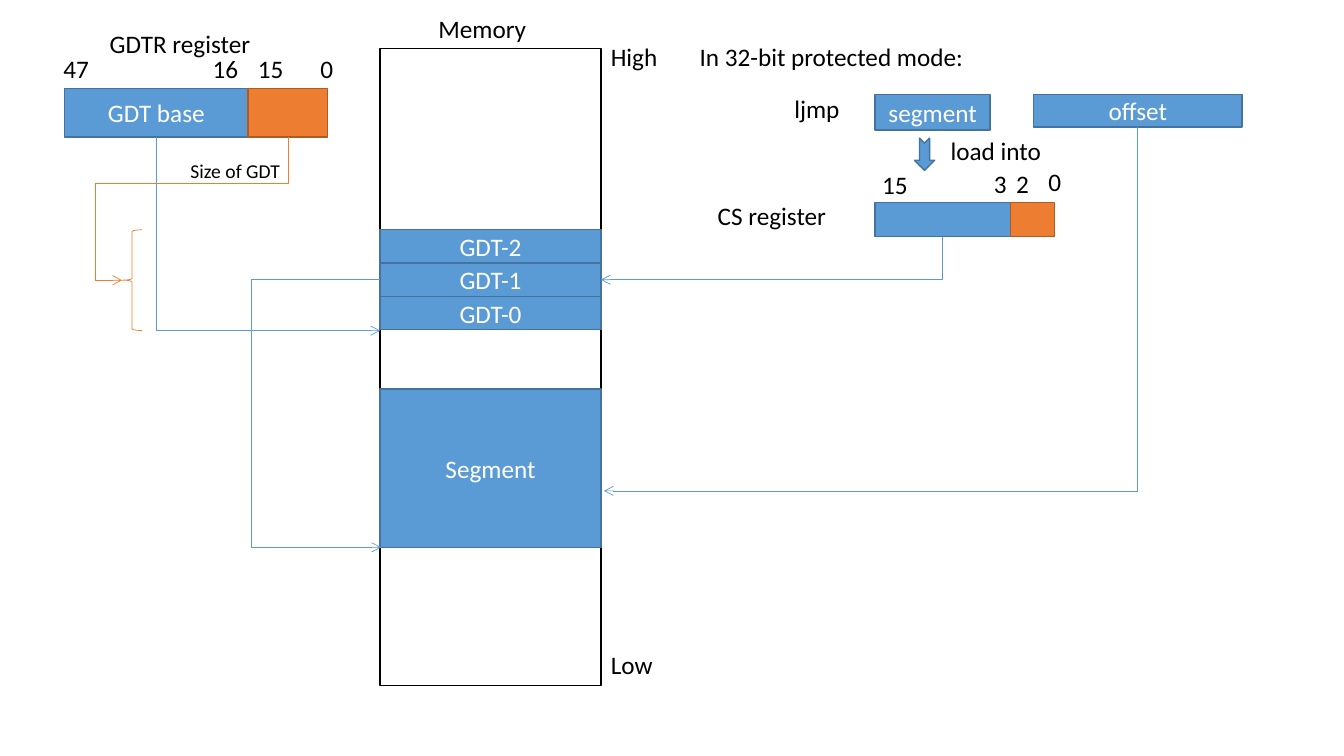
from collections import namedtuple
from lxml.etree import SubElement
from pptx import Presentation
from pptx.dml.color import RGBColor
from pptx.enum.shapes import MSO_CONNECTOR, MSO_SHAPE as SHAPE
from pptx.enum.text import MSO_ANCHOR, MSO_AUTO_SIZE, PP_ALIGN
from pptx.oxml.ns import qn
from pptx.util import Inches, Pt

Theme = namedtuple("Theme", "font size small blue blue_edge orange orange_edge white black edge wire")
THEME = Theme("Calibri", 18, 14, "5B9BD5", "43739E", "ED7D31", "AF5C24", "FFFFFF", "000000", 1, 0.5)
BLUE = (THEME.blue, THEME.blue_edge)
ORANGE = (THEME.orange, THEME.orange_edge)
PLAIN = (THEME.white, THEME.black)


class Box(namedtuple("Box", "left top width height")):
    @property
    def right(self):
        return self.left + self.width

    @property
    def bottom(self):
        return self.top + self.height

    @property
    def middle(self):
        return self.top + self.height / 2

    @property
    def foot(self):
        return self.left + self.width / 2, self.bottom


MEMORY = Box(3.77, 0.48, 2.19, 6.32)
GDT_BASE = Box(0.64, 0.88, 1.82, 0.48)
GDT_SIZE = Box(GDT_BASE.right, GDT_BASE.top, 0.79, GDT_BASE.height)
SELECTOR = Box(8.68, 0.94, 1.14, 0.35)
OFFSET = Box(10.25, 0.94, 2.07, 0.32)
CS_INDEX = Box(8.68, 2.01, 1.34, 0.34)
CS_FLAGS = Box(CS_INDEX.right, CS_INDEX.top, 0.44, CS_INDEX.height)
SEGMENT = Box(MEMORY.left, 3.86, MEMORY.width, 1.57)
GDT_NAMES = ["GDT-2", "GDT-1", "GDT-0"]
GDT = [Box(MEMORY.left, 2.28 + 0.33 * row, MEMORY.width, 0.33) for row in range(len(GDT_NAMES))]
BRACE = Box(1.21, GDT[0].top, 0.2, 1)
LOAD_ARROW = Box(9.01, 1.43, 0.32, 0.2)

BLOCKS = [
    (MEMORY, PLAIN, ""),
    (GDT_BASE, BLUE, "GDT base"),
    (GDT_SIZE, ORANGE, ""),
    *[(entry, BLUE, name) for entry, name in zip(GDT, GDT_NAMES)],
    (SELECTOR, BLUE, "segment"),
    (OFFSET, BLUE, "offset"),
    (CS_INDEX, BLUE, ""),
    (CS_FLAGS, ORANGE, ""),
    (SEGMENT, BLUE, "Segment"),
]

# text, left, top, width
LABELS = [
    ("GDTR register", 0.99, 0.23, 1.6),
    ("47", 0.53, 0.48, 0.45),
    ("16", 2.01, 0.48, 0.45),
    ("15", 2.46, 0.48, 0.45),
    ("0", 3.08, 0.48, 0.33),
    ("Memory", 4.25, 0.08, 1.07),
    ("High", MEMORY.right, 0.36, 0.66),
    ("Low", MEMORY.right, 6.39, 0.62),
    ("In 32-bit protected mode:", 6.84, 0.36, 2.82),
    ("ljmp", 7.78, 0.88, 0.65),
    ("load into", 9.33, 1.29, 1.13),
    ("CS register", 7.02, 1.94, 1.28),
    ("15", 8.65, 1.63, 0.45),
    ("3", 9.76, 1.62, 0.33),
    ("2", 9.98, 1.62, 0.33),
    ("0", 10.3, 1.6, 0.33),
]
SIZE_LABEL = ("Size of GDT", 1.79, 1.53, 2.04)

# start, end, colour, preset, adjustments, whether the first leg runs down
ROUTES = [
    (GDT_BASE.foot, (MEMORY.left, BRACE.bottom), THEME.blue, "bentConnector2", [], True),
    ((9.35, CS_INDEX.bottom), (MEMORY.right, GDT[1].middle), THEME.blue, "bentConnector2", [], True),
    ((MEMORY.left, GDT[1].middle), (MEMORY.left + 0.01, SEGMENT.bottom), THEME.blue,
     "bentConnector3", [-130], False),
    (OFFSET.foot, (5.99, 4.87), THEME.blue, "bentConnector2", [], True),
    (GDT_SIZE.foot, (BRACE.left, BRACE.middle), THEME.orange, "bentConnector4", [0.32, 1.16], True),
]


def rgb(colour):
    return RGBColor.from_string(colour)


def style_text(frame, text, size, colour, align):
    frame.text = text
    paragraph = frame.paragraphs[0]
    paragraph.alignment = align
    for run in paragraph.runs:
        run.font.name, run.font.size = THEME.font, Pt(size)
        run.font.color.rgb = rgb(colour)


def add_block(slide, box, colours, text="", preset=SHAPE.RECTANGLE):
    block = slide.shapes.add_shape(preset, *map(Inches, box))
    block.shadow.inherit = False
    fill, edge = colours
    block.fill.solid()
    block.fill.fore_color.rgb = rgb(fill)
    block.line.color.rgb = rgb(edge)
    block.line.width = Pt(THEME.edge)
    if text:
        block.text_frame.vertical_anchor = MSO_ANCHOR.MIDDLE
        style_text(block.text_frame, text, THEME.size, THEME.white, PP_ALIGN.CENTER)
    return block


def add_label(slide, text, left, top, width, size=THEME.size, height=0.4):
    label = slide.shapes.add_textbox(*map(Inches, (left, top, width, height)))
    label.text_frame.word_wrap = False
    label.text_frame.auto_size = MSO_AUTO_SIZE.SHAPE_TO_FIT_TEXT
    style_text(label.text_frame, text, size, THEME.black, PP_ALIGN.LEFT)


def add_brace(slide):
    brace = slide.shapes.add_shape(SHAPE.LEFT_BRACE, *map(Inches, BRACE))
    brace.shadow.inherit = False
    brace.fill.background()
    brace.line.color.rgb = rgb(THEME.orange)
    brace.line.width = Pt(THEME.wire)


def add_route(slide, start, end, colour, preset, adjustments, down_first):
    """Bent arrow; a route that starts downwards is a quarter-turned frame about the same centre."""
    (x1, y1), (x2, y2) = start, end
    route = slide.shapes.add_connector(MSO_CONNECTOR.ELBOW, *map(Inches, (x1, y1, x2, y2)))
    properties = route._element.spPr
    if down_first:
        width, height = abs(y2 - y1), abs(x2 - x1)
        route.left, route.top = Inches((x1 + x2 - width) / 2), Inches((y1 + y2 - height) / 2)
        route.width, route.height = Inches(width), Inches(height)
        frame = properties.find(qn("a:xfrm"))
        frame.set("rot", str(90 * 60000))
        frame.set("flipH", "0")
        frame.set("flipV", "1" if x2 > x1 else "0")
    geometry = properties.find(qn("a:prstGeom"))
    geometry.set("prst", preset)
    for number, share in enumerate(adjustments, 1):
        SubElement(geometry.find(qn("a:avLst")), qn("a:gd"),
                   name=f"adj{number}", fmla=f"val {round(share * 100000)}")
    route.line.color.rgb = rgb(colour)
    route.line.width = Pt(THEME.wire)
    SubElement(properties.find(qn("a:ln")), qn("a:tailEnd"), type="arrow")
    SubElement(properties, qn("a:effectLst"))


def main():
    deck = Presentation()
    deck.slide_width, deck.slide_height = Inches(13.33), Inches(7.5)
    slide = deck.slides.add_slide(deck.slide_layouts[6])
    for block in BLOCKS:
        add_block(slide, *block)
    add_block(slide, LOAD_ARROW, BLUE, preset=SHAPE.NOTCHED_RIGHT_ARROW).rotation = 90
    for route in ROUTES:
        add_route(slide, *route)
    add_brace(slide)
    for label in LABELS:
        add_label(slide, *label)
    add_label(slide, *SIZE_LABEL, size=THEME.small, height=0.34)
    # Left-aligned in a wide box, so this label wraps within it.
    slide.shapes[-1].text_frame.word_wrap = True
    deck.save("out.pptx")


if __name__ == "__main__":
    main()
